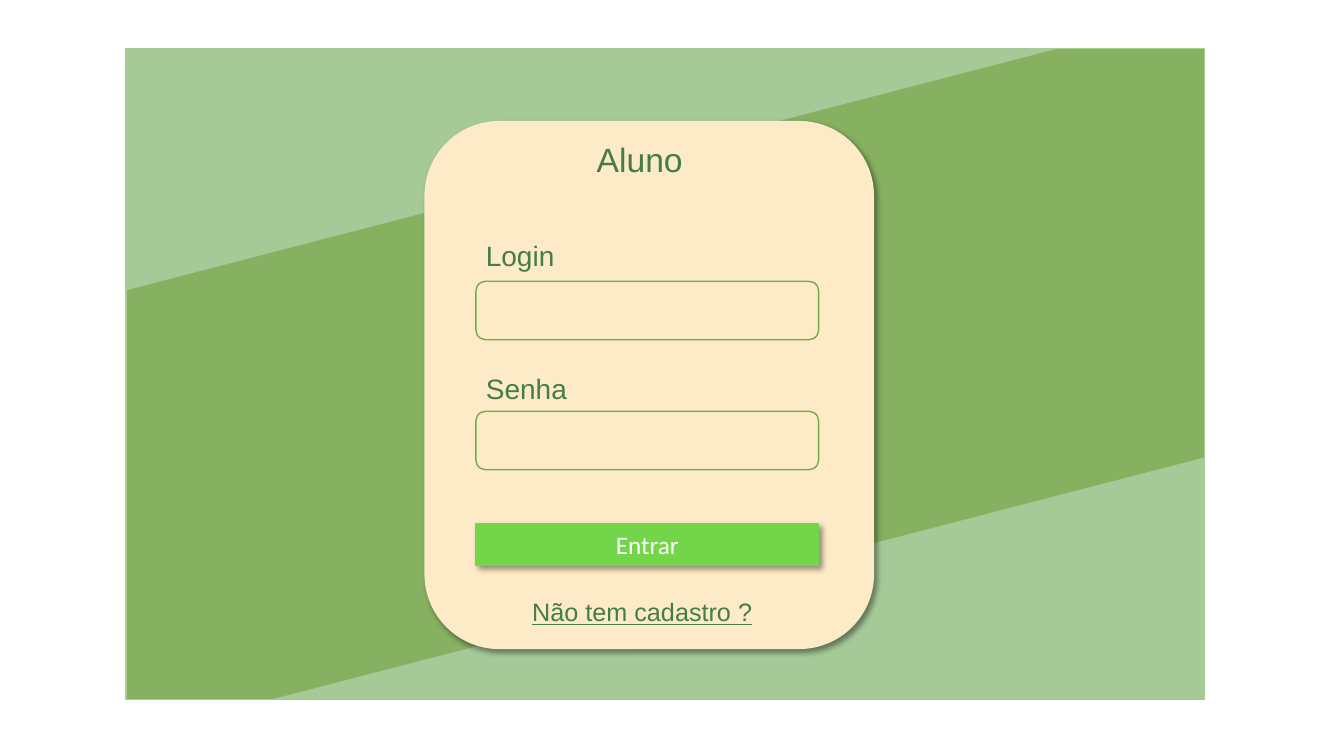
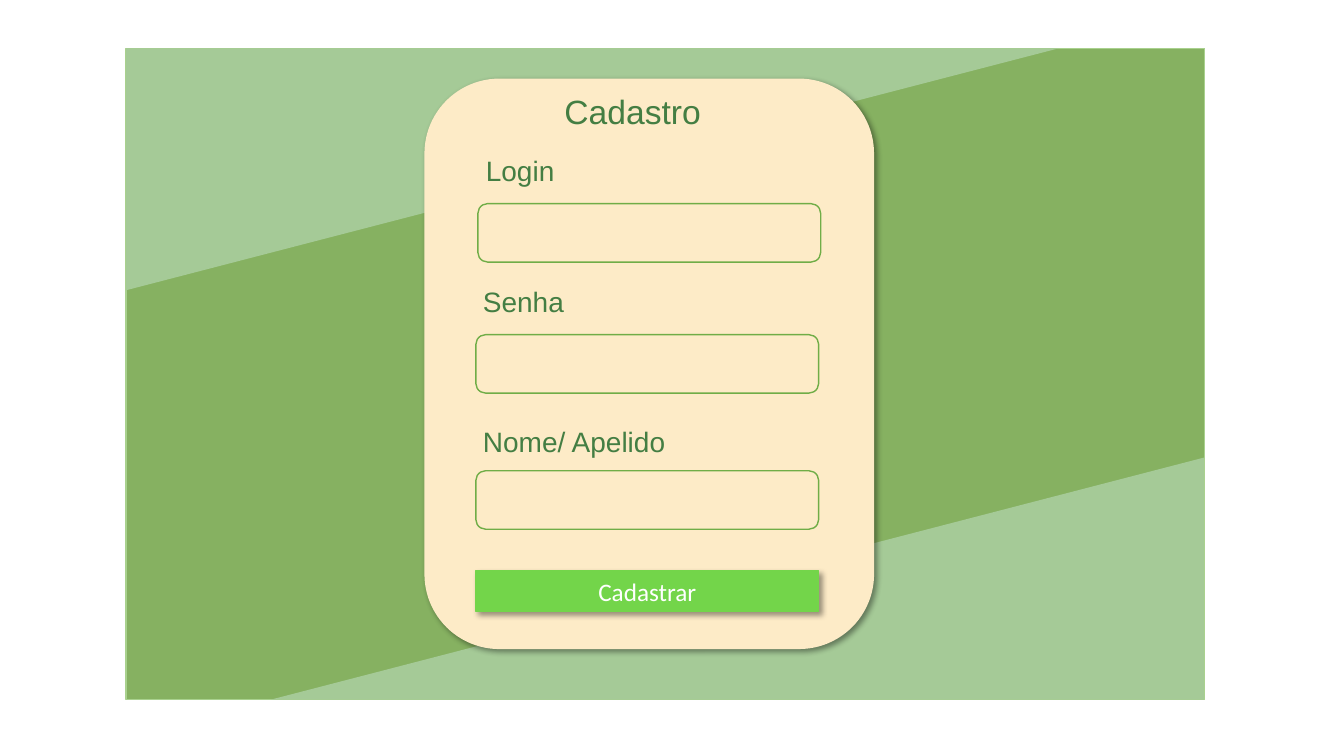
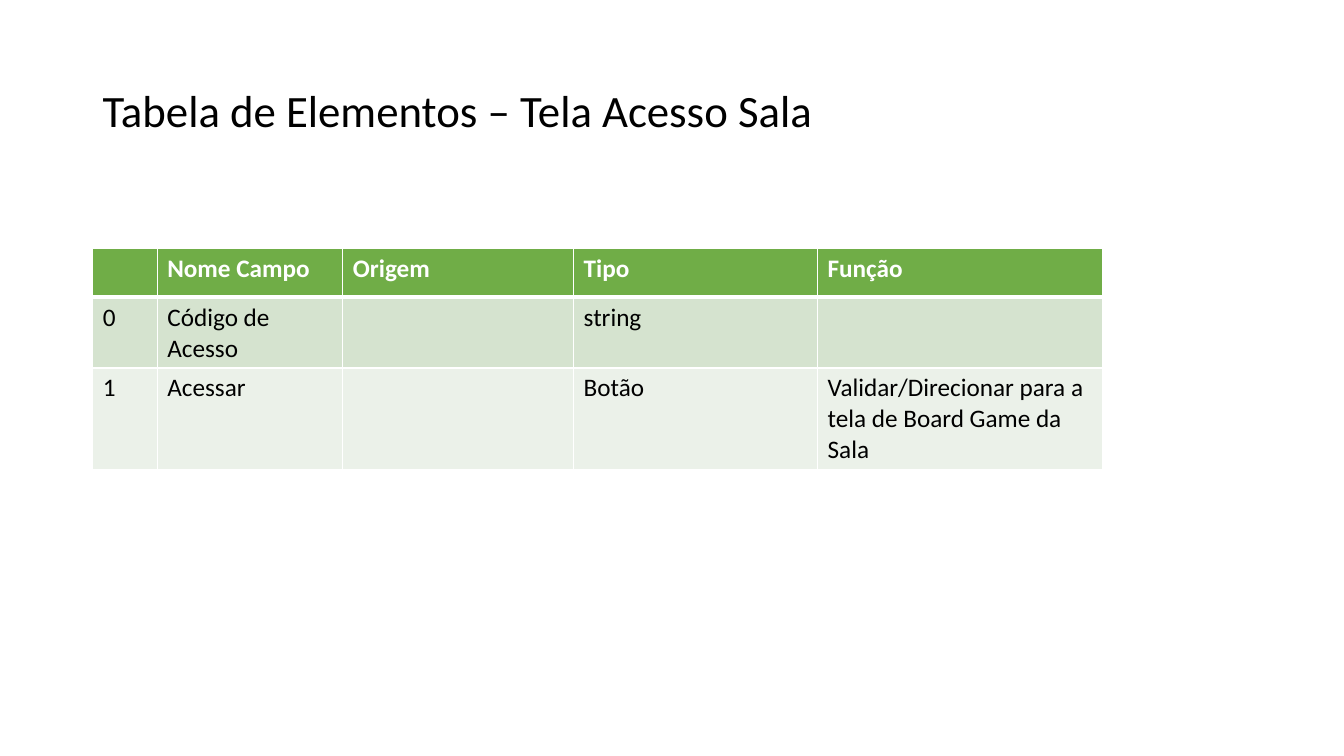
from dataclasses import dataclass
from typing import Optional

from lxml.etree import SubElement
from pptx import Presentation
from pptx.dml.color import RGBColor
from pptx.enum.shapes import MSO_SHAPE as Preset
from pptx.enum.text import MSO_ANCHOR as Anchor
from pptx.oxml.ns import qn
from pptx.util import Inches, Pt

WHITE, BLACK = "FFFFFF", "000000"
BACKDROP, BACKDROP_EDGE, CORNER = "86B161", "A9D18E", "A5CA97"
CARD, LABEL, ACCENT, BUTTON = "FDEBC7", "447E43", "70AD47", "73D54A"
ROW_FILLS = (ACCENT, "D5E3CF", "EBF1E9")
SANS, BODY = "Arial", "Calibri"

SCREEN_LEFT, SCREEN_TOP, SCREEN_WIDTH, SCREEN_HEIGHT = 1.25, 0.48, 10.7, 6.46
CORNER_WIDTH, CORNER_HEIGHT = 9.25, 2.4
CARD_LEFT, CARD_WIDTH, CARD_BOTTOM = 4.21, 4.46, 6.44
FIELD_LEFT, FIELD_WIDTH, FIELD_HEIGHT = 4.72, 3.4, 0.58
BUTTON_HEIGHT = 0.41
LABEL_WIDTH = 5.01


@dataclass(frozen=True)
class Label:
    text: str
    left: float
    top: float
    size: int = 20
    underline: bool = False


@dataclass(frozen=True)
class Field:
    label: Label
    top: float
    left: float = FIELD_LEFT


@dataclass(frozen=True)
class Form:
    heading: Label
    card_top: float
    fields: tuple[Field, ...]
    button: str
    button_top: float
    footnote: Optional[Label] = None


FORMS = (
    Form(
        heading=Label("Aluno", 5.82, 1.33, 24),
        card_top=1.2,
        fields=(
            Field(Label("Login", 4.72, 2.32), 2.79),
            Field(Label("Senha", 4.72, 3.64), 4.08),
        ),
        button="Entrar",
        button_top=5.2,
        footnote=Label("Não tem cadastro ?", 5.18, 5.87, 18, underline=True),
    ),
    Form(
        heading=Label("Cadastro", 5.5, 0.85, 24),
        card_top=0.78,
        fields=(
            Field(Label("Login", 4.72, 1.47), 2.02, left=4.74),
            Field(Label("Senha", 4.69, 2.77), 3.32),
            Field(Label("Nome/ Apelido", 4.69, 4.16), 4.67),
        ),
        button="Cadastrar",
        button_top=5.66,
    ),
)

TABLE_TITLE = "Tabela de Elementos – Tela Acesso Sala"
COLUMN_WIDTHS = (0.64, 1.84, 2.29, 2.42, 2.83)
ROW_HEIGHTS = (0.49, 0.7, 1.01)
ELEMENTS = (
    ("", "Nome Campo", "Origem", "Tipo", "Função"),
    ("0", "Código de Acesso", "", "string", ""),
    ("1", "Acessar", "", "Botão", "Validar/Direcionar para a tela de Board Game da Sala"),
)


def rgb(color: str) -> RGBColor:
    return RGBColor.from_string(color)


def add_run(paragraph, text: str, size: int, font: str, color: str,
            bold: bool = False, underline: bool = False) -> None:
    run = paragraph.add_run()
    run.text = text
    run.font.size = Pt(size)
    run.font.name = font
    run.font.bold = bold
    run.font.underline = underline
    run.font.color.rgb = rgb(color)


def paint(shape, fill: Optional[str], line: Optional[str] = None) -> None:
    """Set fill and outline, and drop the inherited shadow."""
    if fill:
        shape.fill.solid()
        shape.fill.fore_color.rgb = rgb(fill)
    else:
        shape.fill.background()
    if line:
        shape.line.color.rgb = rgb(line)
        shape.line.width = Pt(1)
    else:
        shape.line.fill.background()
    shape.shadow.inherit = False


def add_box(slide, preset, left: float, top: float, width: float, height: float,
            fill: Optional[str], line: Optional[str] = None):
    box = slide.shapes.add_shape(
        preset, Inches(left), Inches(top), Inches(width), Inches(height))
    paint(box, fill, line)
    return box


def cast_shadow(shape) -> None:
    """Add a soft shadow falling to the lower right."""
    effects = shape._element.spPr.find(qn("a:effectLst"))
    shadow = SubElement(effects, qn("a:outerShdw"), blurRad=str(Pt(4)), dist=str(Pt(3)),
                        dir=str(45 * 60000), algn="tl", rotWithShape="0")
    color = SubElement(shadow, qn("a:srgbClr"), val=BLACK)
    SubElement(color, qn("a:alpha"), val="40000")


def add_text_frame(slide, left: float, top: float, width: float, height: float):
    frame = slide.shapes.add_textbox(
        Inches(left), Inches(top), Inches(width), Inches(height)).text_frame
    frame.word_wrap = True
    return frame


def add_label(slide, label: Label) -> None:
    frame = add_text_frame(slide, label.left, label.top, LABEL_WIDTH, label.size / 50 + 0.04)
    add_run(frame.paragraphs[0], label.text, label.size, SANS, LABEL,
            underline=label.underline)


def add_corner(slide, x: float, y: float, direction: int) -> None:
    """Fill a triangle at a screen corner; direction 1 opens right and down, -1 left and up."""
    outline = slide.shapes.build_freeform(Inches(x), Inches(y))
    outline.add_line_segments([
        (Inches(x + direction * CORNER_WIDTH), Inches(y)),
        (Inches(x), Inches(y + direction * CORNER_HEIGHT)),
    ], close=True)
    paint(outline.convert_to_shape(), CORNER)


def add_backdrop(slide) -> None:
    add_box(slide, Preset.RECTANGLE, SCREEN_LEFT, SCREEN_TOP, SCREEN_WIDTH, SCREEN_HEIGHT,
            BACKDROP, BACKDROP_EDGE)
    add_corner(slide, SCREEN_LEFT, SCREEN_TOP, 1)
    add_corner(slide, SCREEN_LEFT + SCREEN_WIDTH - 0.01, SCREEN_TOP + SCREEN_HEIGHT, -1)


def add_form(slide, form: Form) -> None:
    add_backdrop(slide)
    card = add_box(slide, Preset.ROUNDED_RECTANGLE, CARD_LEFT, form.card_top,
                   CARD_WIDTH, CARD_BOTTOM - form.card_top, CARD)
    cast_shadow(card)
    add_label(slide, form.heading)
    for field in form.fields:
        add_label(slide, field.label)
        add_box(slide, Preset.ROUNDED_RECTANGLE, field.left, field.top,
                FIELD_WIDTH, FIELD_HEIGHT, None, ACCENT)
    button = add_box(slide, Preset.RECTANGLE, FIELD_LEFT, form.button_top,
                     FIELD_WIDTH, BUTTON_HEIGHT, BUTTON, BUTTON)
    cast_shadow(button)
    add_run(button.text_frame.paragraphs[0], form.button, 18, BODY, WHITE)
    if form.footnote:
        add_label(slide, form.footnote)


def add_borders(cell, bottom: int) -> None:
    """Draw white borders, 1 pt wide except for the bottom one."""
    properties = cell._tc.get_or_add_tcPr()
    for side, width in (("L", 1), ("R", 1), ("T", 1), ("B", bottom)):
        border = SubElement(properties, qn(f"a:ln{side}"), w=str(Pt(width)))
        fill = SubElement(border, qn("a:solidFill"))
        SubElement(fill, qn("a:srgbClr"), val=WHITE)


def add_elements_table(slide) -> None:
    table = slide.shapes.add_table(
        len(ELEMENTS), len(COLUMN_WIDTHS), Inches(0.92), Inches(2.46),
        Inches(sum(COLUMN_WIDTHS)), Inches(sum(ROW_HEIGHTS))).table
    table.horz_banding = False
    for column, width in zip(table.columns, COLUMN_WIDTHS):
        column.width = Inches(width)
    for index, (row, height, texts) in enumerate(zip(table.rows, ROW_HEIGHTS, ELEMENTS)):
        row.height = Inches(height)
        header = index == 0
        for cell, text in zip(row.cells, texts):
            add_borders(cell, bottom=3 if header else 1)
            cell.fill.solid()
            cell.fill.fore_color.rgb = rgb(ROW_FILLS[index])
            if text:
                add_run(cell.text_frame.paragraphs[0], text, 18, BODY,
                        WHITE if header else BLACK, bold=header)


def add_title(slide, text: str) -> None:
    frame = add_text_frame(slide, 0.92, 0.4, 11.5, 1.45)
    frame.vertical_anchor = Anchor.MIDDLE
    frame.paragraphs[0].line_spacing = 0.9
    add_run(frame.paragraphs[0], text, 32, BODY, BLACK)


def main() -> None:
    deck = Presentation()
    deck.slide_width, deck.slide_height = Inches(13.33), Inches(7.5)
    blank = deck.slide_layouts[6]
    for form in FORMS:
        add_form(deck.slides.add_slide(blank), form)
    table_slide = deck.slides.add_slide(blank)
    add_title(table_slide, TABLE_TITLE)
    add_elements_table(table_slide)
    deck.save("out.pptx")


if __name__ == "__main__":
    main()
